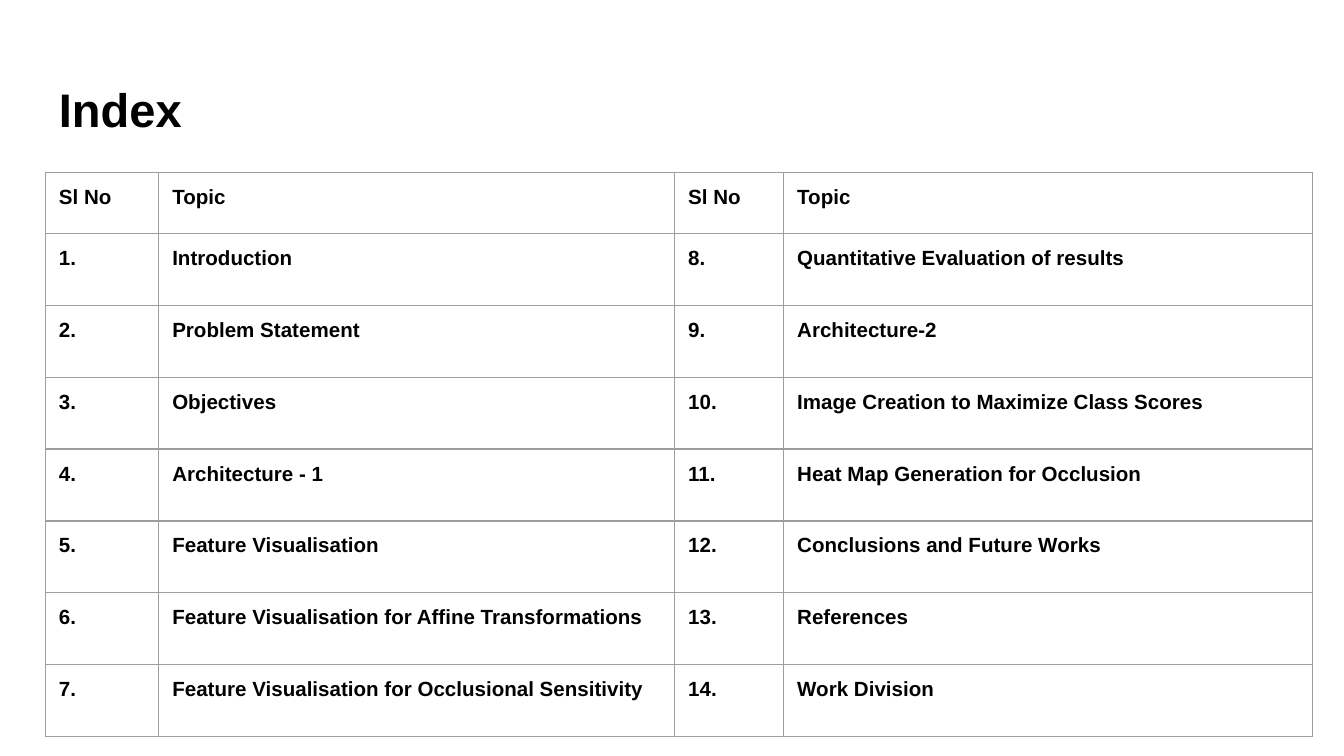
"""Build the index slide: a title above a two-column table of topics."""
from dataclasses import dataclass

from pptx import Presentation
from pptx.dml.color import RGBColor
from pptx.enum.text import MSO_ANCHOR
from pptx.oxml import parse_xml
from pptx.oxml.ns import nsdecls
from pptx.slide import Slide
from pptx.table import _Cell as Cell
from pptx.text.text import TextFrame
from pptx.util import Pt

COLORS = {"text": "000000", "border": "9E9E9E"}
FONT = "Arial"
INSET = 7.2
BORDER = 0.75
TITLE_SIZE = 25.2
CELL_SIZE = 11
HEADER = ("Sl No", "Topic")
COL_WIDTHS = (60.7, 276.4, 58.4, 283.1)
HEADER_HEIGHT = 32.8
ROW_HEIGHT = 38.5
TOPICS = (
    "Introduction",
    "Problem Statement",
    "Objectives",
    "Architecture - 1",
    "Feature Visualisation",
    "Feature Visualisation for Affine Transformations",
    "Feature Visualisation for Occlusional Sensitivity",
    "Quantitative Evaluation of results",
    "Architecture-2",
    "Image Creation to Maximize Class Scores",
    "Heat Map Generation for Occlusion",
    "Conclusions and Future Works",
    "References",
    "Work Division",
)


@dataclass(frozen=True)
class Box:
    """Position and size in points."""

    left: float
    top: float
    width: float
    height: float

    def lengths(self) -> tuple[Pt, ...]:
        """Return the four lengths in the order that python-pptx takes."""
        return tuple(Pt(v) for v in (self.left, self.top, self.width, self.height))


@dataclass(frozen=True)
class Entry:
    """One numbered topic of the index."""

    number: int
    topic: str

    def texts(self) -> tuple[str, str]:
        """Return the texts of the number cell and the topic cell."""
        return f"{self.number}.", self.topic


def set_attrs(target: object, values: dict[str, object]) -> None:
    """Set each named attribute of the target."""
    for name, value in values.items():
        setattr(target, name, value)


def margins() -> dict[str, Pt]:
    """Return equal margins for all four sides."""
    return {f"margin_{side}": Pt(INSET) for side in ("left", "top", "right", "bottom")}


def write_text(tf: TextFrame, text: str, size: float) -> None:
    """Write one bold run into a text frame."""
    r = tf.paragraphs[0].add_run()
    r.text = text
    set_attrs(r.font, {"name": FONT, "size": Pt(size), "bold": True})
    r.font.color.rgb = RGBColor.from_string(COLORS["text"])


def add_borders(cell: Cell) -> None:
    """Give a cell the same line on every side."""
    props = cell._tc.get_or_add_tcPr()
    for index, side in enumerate(("lnL", "lnR", "lnT", "lnB")):
        line = parse_xml(
            f'<a:{side} {nsdecls("a")} w="{Pt(BORDER)}"><a:solidFill>'
            f'<a:srgbClr val="{COLORS["border"]}"/></a:solidFill></a:{side}>'
        )
        props.insert(index, line)


def add_title(s: Slide, box: Box, text: str) -> None:
    """Add the slide title."""
    tf = s.shapes.add_textbox(*box.lengths()).text_frame
    set_attrs(tf, {"word_wrap": True, "vertical_anchor": MSO_ANCHOR.MIDDLE, **margins()})
    write_text(tf, text, TITLE_SIZE)


def add_index(s: Slide, left: float, top: float, entries: list[Entry]) -> None:
    """Add the table with the first half of the entries beside the second."""
    half = len(entries) // 2
    rows = [HEADER * 2]
    rows += [a.texts() + b.texts() for a, b in zip(entries[:half], entries[half:])]
    box = Box(left, top, sum(COL_WIDTHS), HEADER_HEIGHT + half * ROW_HEIGHT)
    table = s.shapes.add_table(len(rows), len(COL_WIDTHS), *box.lengths()).table
    set_attrs(table, {"first_row": False, "horz_banding": False})
    for column, width in zip(table.columns, COL_WIDTHS):
        column.width = Pt(width)
    for i, texts in enumerate(rows):
        table.rows[i].height = Pt(ROW_HEIGHT if i else HEADER_HEIGHT)
        for j, text in enumerate(texts):
            cell = table.cell(i, j)
            set_attrs(cell, margins())
            cell.fill.background()
            add_borders(cell)
            write_text(cell.text_frame, text, CELL_SIZE)


def main() -> None:
    """Build and save the slide."""
    prs = Presentation()
    set_attrs(prs, {"slide_width": Pt(720), "slide_height": Pt(405)})
    s = prs.slides.add_slide(prs.slide_layouts[6])
    add_title(s, Box(24.5, 35.3, 671, 45.4), "Index")
    add_index(s, 24.4, 92.3, [Entry(n, topic) for n, topic in enumerate(TOPICS, 1)])
    prs.save("out.pptx")


if __name__ == "__main__":
    main()
